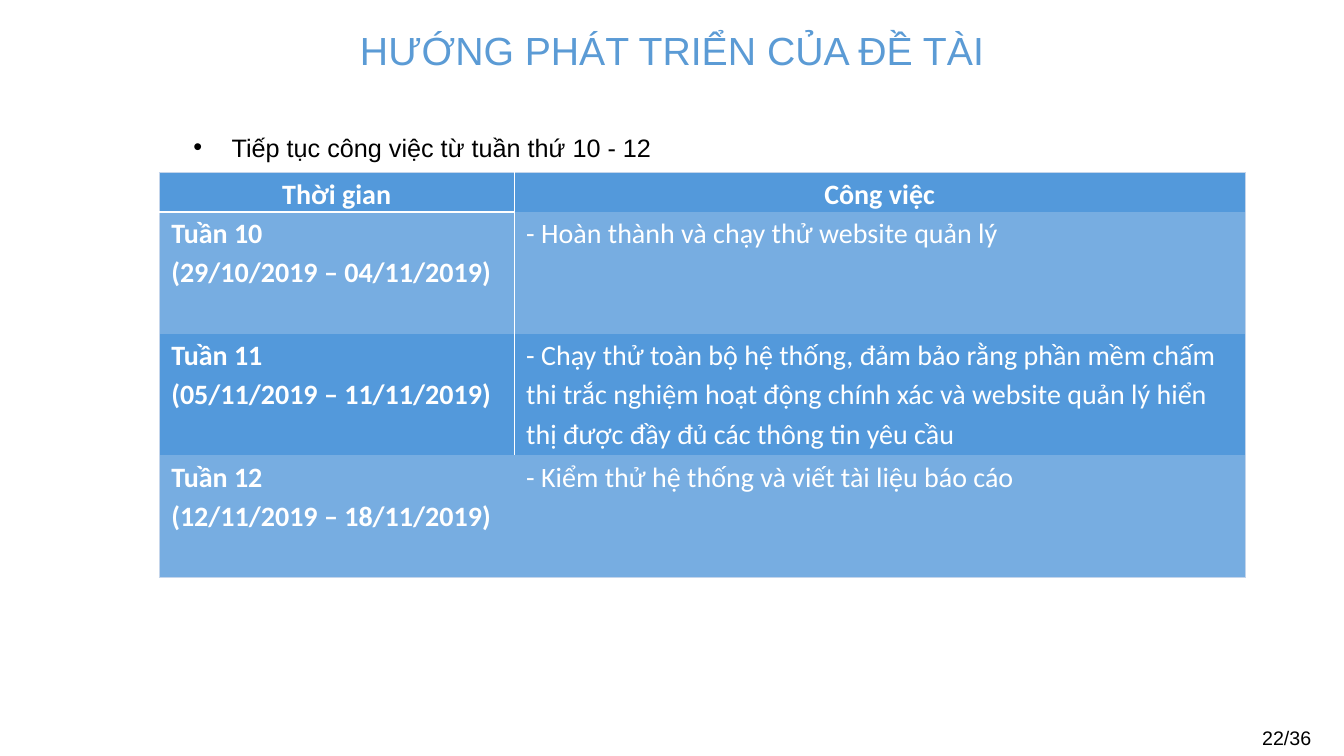
import pptx
import pptx.util
import pptx.dml.color
import pptx.enum.text
import pptx.oxml
import pptx.oxml.ns
from lxml import etree

RGBColor = pptx.dml.color.RGBColor
ALIGN = pptx.enum.text.PP_ALIGN
ANCHOR = pptx.enum.text.MSO_ANCHOR

BLACK = RGBColor(0x00, 0x00, 0x00)
WHITE = RGBColor(0xFF, 0xFF, 0xFF)
TITLE_BLUE = RGBColor(0x5B, 0x9B, 0xD5)
ROW_BLUE = RGBColor(0x53, 0x99, 0xDB)
ROW_LIGHT = RGBColor(0x77, 0xAD, 0xE1)
EDGE_BLUE = RGBColor(0xC4, 0xD5, 0xEB)

presentation = pptx.Presentation()
presentation.slide_width = pptx.util.Inches(13.33)
presentation.slide_height = pptx.util.Inches(7.5)
slide = presentation.slides.add_slide(presentation.slide_layouts[5])


def share(left, top, width, height):
    across, down = presentation.slide_width, presentation.slide_height
    return [int(size * percent / 100) for size, percent in
            ((across, left), (down, top), (across, width), (down, height))]


def write(frame, lines, size, color, name, bold=False, alignment=ALIGN.LEFT, spacing=1.0):
    frame.text = "\n".join(lines)
    for paragraph in frame.paragraphs:
        paragraph.alignment = alignment
        paragraph.line_spacing = spacing
        font = paragraph.runs[0].font
        for key, value in {"size": pptx.util.Pt(size), "name": name, "bold": bold}.items():
            setattr(font, key, value)
        font.color.rgb = color


title = slide.shapes.title
title.left, title.top, title.width, title.height = share(0, 1.2, 100, 9.2)
write(title.text_frame, ["HƯỚNG PHÁT TRIỂN CỦA ĐỀ TÀI"], 28, TITLE_BLUE, "Arial",
      alignment=ALIGN.CENTER)
title_format = {"vertical_anchor": ANCHOR.BOTTOM, "word_wrap": True,
                "auto_size": pptx.enum.text.MSO_AUTO_SIZE.NONE}
for key, value in title_format.items():
    setattr(title.text_frame, key, value)

plan = slide.shapes.add_textbox(*share(13.65, 14.8, 64.44, 6.67))
plan.text_frame.word_wrap = True
write(plan.text_frame, ["Tiếp tục công việc từ tuần thứ 10 - 12"], 18, BLACK, "Arial", spacing=1.5)
bullet_properties = plan.text_frame.paragraphs[0]._p.get_or_add_pPr()
indent = pptx.util.Inches(0.38)
bullet_properties.set("marL", str(indent))
bullet_properties.set("indent", str(-indent))
for tag, attribute, value in (("a:buFont", "typeface", "Arial"), ("a:buChar", "char", "•")):
    etree.SubElement(bullet_properties, pptx.oxml.ns.qn(tag)).set(attribute, value)

schedule = [
    (["Thời gian"], ["Công việc"]),
    (["Tuần 10", "(29/10/2019 – 04/11/2019)"], ["- Hoàn thành và chạy thử website quản lý"]),
    (["Tuần 11", "(05/11/2019 – 11/11/2019)"],
     ["- Chạy thử toàn bộ hệ thống, đảm bảo rằng phần mềm chấm thi trắc nghiệm hoạt động "
      "chính xác và website quản lý hiển thị được đầy đủ các thông tin yêu cầu"]),
    (["Tuần 12", "(12/11/2019 – 18/11/2019)"], ["- Kiểm thử hệ thống và viết tài liệu báo cáo"]),
]
last_row = len(schedule) - 1
table = slide.shapes.add_table(len(schedule), 2, *share(11.85, 22.8, 80.8, 53.6)).table
table.first_row = False
table.horz_banding = False
for column, percent in zip(table.columns, (26.41, 54.39)):
    column.width = int(presentation.slide_width * percent / 100)
for row, percent in zip(table.rows, (5.2, 16.13, 16.13, 16.13)):
    row.height = int(presentation.slide_height * percent / 100)

cell_margins = {"margin_left": 0.12, "margin_right": 0.12, "margin_top": 0, "margin_bottom": 0}
outer = (EDGE_BLUE, 0.5)
for row_index, entries in enumerate(schedule):
    divider = (WHITE, 1) if row_index < last_row else None
    for column_index, lines in enumerate(entries):
        cell = table.cell(row_index, column_index)
        header, first = row_index == 0, column_index == 0
        write(cell.text_frame, lines, 20, WHITE, "Calibri", bold=header or first,
              alignment=ALIGN.CENTER if header else ALIGN.LEFT, spacing=1.15)
        for key, value in cell_margins.items():
            setattr(cell, key, pptx.util.Inches(value))
        cell.fill.solid()
        cell.fill.fore_color.rgb = ROW_LIGHT if row_index % 2 else ROW_BLUE

        header_rule = (WHITE, 1.5) if first else None
        borders = {
            "L": outer if first else divider,
            "R": divider if first else outer,
            "T": outer if header else header_rule if row_index == 1 else None,
            "B": header_rule if header else outer if row_index == last_row else None,
        }
        properties = cell._tc.get_or_add_tcPr()
        for position, (side, border) in enumerate(borders.items()):
            line = etree.Element(pptx.oxml.ns.qn(f"a:ln{side}"))
            if border:
                color, width = border
                line.set("w", str(pptx.util.Pt(width)))
                fill = etree.SubElement(line, pptx.oxml.ns.qn("a:solidFill"))
                etree.SubElement(fill, pptx.oxml.ns.qn("a:srgbClr")).set("val", str(color))
            else:
                etree.SubElement(line, pptx.oxml.ns.qn("a:noFill"))
            properties.insert(position, line)

page_number = slide.shapes.add_textbox(*share(93.17, 95.33, 5.7, 4.53))
write(page_number.text_frame, ["22/36"], 14, BLACK, "Arial")

presentation.save("out.pptx")
